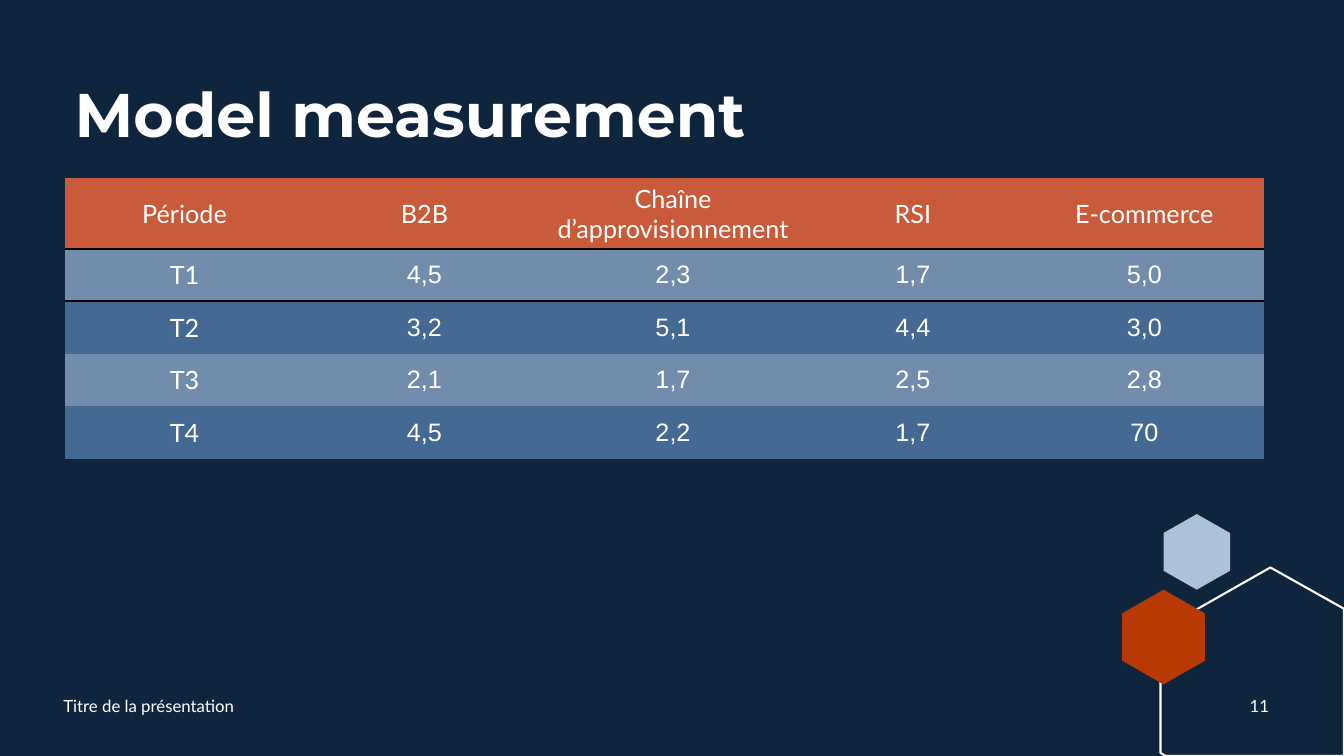
from lxml import etree
from pptx import Presentation
from pptx import util as u
from pptx.dml.color import RGBColor
from pptx.enum import text as t
from pptx.oxml import ns

# Content
TITLE = "Model measurement"
FOOTER = "Titre de la présentation"
PAGE_NUMBER = "11"
ROWS = [
    ("Période", "B2B", "Chaîne d’approvisionnement", "RSI", "E-commerce"),
    ("T1", "4,5", "2,3", "1,7", "5,0"),
    ("T2", "3,2", "5,1", "4,4", "3,0"),
    ("T3", "2,1", "1,7", "2,5", "2,8"),
    ("T4", "4,5", "2,2", "1,7", "70"),
]

# Theme and grid, lengths in inches
THEME = {
    "background": "0F253E", "text": "FFFFFF", "rule": "000000",
    "header": "C95B3A", "bands": ("728DAB", "446992"),
    "pale": "AEC1D8", "rust": "B83903",
    "title_font": "Montserrat", "label_font": "Lato", "value_font": "Arial",
    "title_size": 44, "table_size": 18, "footer_size": 12, "line": 1.5,
}
WIDTH, HEIGHT = 13.33, 7.5
LEFT, CONTENT_WIDTH = 0.64, 11.91
COLUMNS = (2.38, 2.38, 2.55, 2.21, 2.38)
HEADER_ROW, BODY_ROW = 0.7, 0.52
NO_STYLE = "{2D5ABB26-0587-4C30-8999-92F81FD0307C}"


def color(name):
    return RGBColor.from_string(THEME.get(name, name))


def write(frame, words, font, size, align, bold=False):
    para = frame.paragraphs[0]
    para.alignment = align
    span = para.add_run()
    span.text = words
    formats = {"name": THEME[font], "size": u.Pt(THEME[size]), "bold": bold}
    for key, value in formats.items():
        setattr(span.font, key, value)
    span.font.color.rgb = color("text")
    return para


def add_outline(page, points, fill=None):
    corners = [(u.Inches(x), u.Inches(y)) for x, y in points]
    builder = page.shapes.build_freeform(*corners[0])
    builder.add_line_segments(corners[1:], close=True)
    shape = builder.convert_to_shape()
    shape.shadow.inherit = False
    if fill:
        shape.fill.solid()
        shape.fill.fore_color.rgb = color(fill)
        shape.line.fill.background()
    else:
        shape.fill.background()
        shape.line.color.rgb = color("text")
        shape.line.width = u.Pt(THEME["line"])


def hexagon(left, top, width, height):
    steps = ((0.5, 0), (1, 0.25), (1, 0.75), (0.5, 1), (0, 0.75), (0, 0.25))
    return [(left + width * x, top + height * y) for x, y in steps]


def add_rule(cell, side):
    line = etree.Element(ns.qn("a:" + side), w=str(u.Pt(THEME["line"])))
    fill = etree.SubElement(line, ns.qn("a:solidFill"))
    etree.SubElement(fill, ns.qn("a:srgbClr"), val=THEME["rule"])
    cell._tc.get_or_add_tcPr().insert(0, line)


def add_measures(page):
    heights = [HEADER_ROW] + [BODY_ROW] * (len(ROWS) - 1)
    frame = page.shapes.add_table(
        len(ROWS), len(COLUMNS), u.Inches(LEFT), u.Inches(1.77),
        u.Inches(CONTENT_WIDTH), u.Inches(sum(heights)))
    table = frame.table
    table._tbl.tblPr.find(ns.qn("a:tableStyleId")).text = NO_STYLE
    for column, width in zip(table.columns, COLUMNS):
        column.width = u.Inches(width)
    for r, (row, height) in enumerate(zip(ROWS, heights)):
        table.rows[r].height = u.Inches(height)
        fill = THEME["bands"][(r - 1) % 2] if r else THEME["header"]
        for c, words in enumerate(row):
            cell = table.cell(r, c)
            cell.vertical_anchor = t.MSO_ANCHOR.MIDDLE
            cell.fill.solid()
            cell.fill.fore_color.rgb = color(fill)
            font = "value_font" if r and c else "label_font"
            write(cell.text_frame, words, font, "table_size", t.PP_ALIGN.CENTER)
            if r < 2:
                add_rule(cell, ("lnB", "lnT")[r])


def main():
    deck = Presentation()
    deck.slide_width, deck.slide_height = u.Inches(WIDTH), u.Inches(HEIGHT)
    page = deck.slides.add_slide(deck.slide_layouts[5])
    page.background.fill.solid()
    page.background.fill.fore_color.rgb = color("background")

    # Hexagon ornament, the large outline cut by the slide edges
    add_outline(page, hexagon(11.54, 5.1, 0.66, 0.75), "pale")
    add_outline(page, [(12.6, 5.63), (WIDTH, 6.04), (WIDTH, HEIGHT),
                       (11.56, HEIGHT), (11.51, 7.47), (11.51, 6.25)])
    add_outline(page, hexagon(11.13, 5.85, 0.82, 0.94), "rust")

    # Title
    title = page.shapes.title
    place = {"left": LEFT, "top": 0.79, "width": CONTENT_WIDTH, "height": 1.55}
    for key, value in place.items():
        setattr(title, key, u.Inches(value))
    title.text_frame.vertical_anchor = t.MSO_ANCHOR.TOP
    para = write(title.text_frame, TITLE, "title_font", "title_size",
                 t.PP_ALIGN.LEFT, bold=True)
    para.line_spacing = 0.9

    # Table
    add_measures(page)

    # Footer and page number
    for words, left, width, align in (
            (FOOTER, 0.53, 4.5, t.PP_ALIGN.LEFT),
            (PAGE_NUMBER, 12.24, 0.5, t.PP_ALIGN.CENTER)):
        box = page.shapes.add_textbox(
            u.Inches(left), u.Inches(6.8), u.Inches(width), u.Inches(0.4))
        box.text_frame.word_wrap = True
        box.text_frame.vertical_anchor = t.MSO_ANCHOR.MIDDLE
        write(box.text_frame, words, "label_font", "footer_size", align)

    deck.save("out.pptx")


if __name__ == "__main__":
    main()
